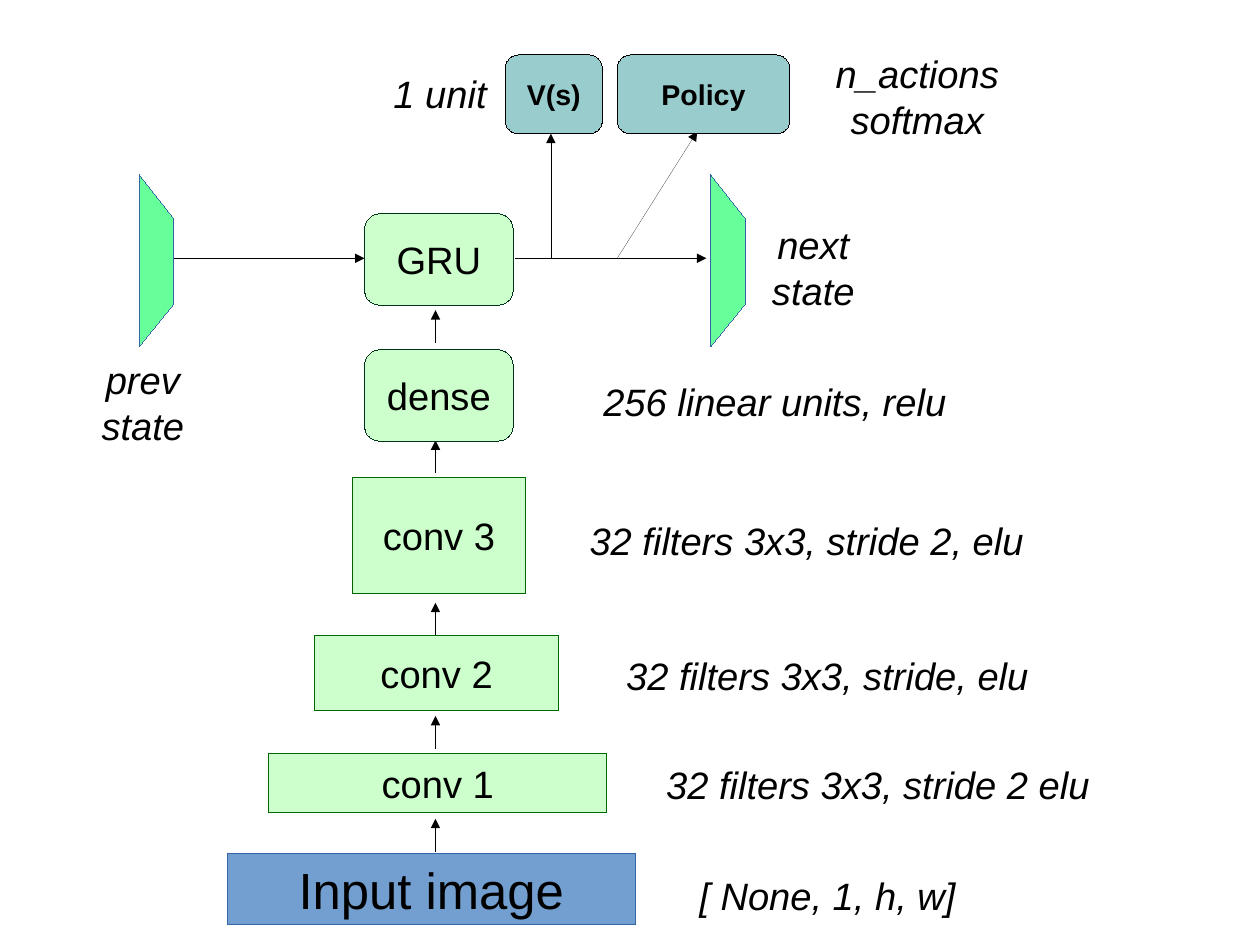
from dataclasses import dataclass
from lxml import etree
from pptx import Presentation, util as u
from pptx.dml.color import RGBColor
from pptx.enum import shapes, text
from pptx.oxml.ns import qn

CELL = u.Inches(0.1)


@dataclass(frozen=True)
class Theme:
    font: str = "Arial"
    ink: str = "000000"
    image: tuple = ("729FCF", "3465A4")
    conv: tuple = ("CCFFCC", "006600")
    unit: tuple = ("CCFFCC", "00331A")
    head: tuple = ("99CCCC", "000000")
    state: tuple = ("66FF99", "3465A4")
    title: int = 32
    body: int = 24
    small: int = 18
    hairline: float = 0.01


THEME = Theme()
RECT = shapes.MSO_SHAPE.RECTANGLE
ROUND = shapes.MSO_SHAPE.ROUNDED_RECTANGLE
LEFT, CENTER = text.PP_ALIGN.LEFT, text.PP_ALIGN.CENTER

LAYERS = [
    ("Input image", RECT, THEME.image, THEME.title, False, (19.9, 74.7, 35.7, 6.2)),
    ("conv 1", RECT, THEME.conv, THEME.body, False, (23.5, 65.9, 29.6, 5.2)),
    ("conv 2", RECT, THEME.conv, THEME.body, False, (27.5, 55.6, 21.4, 6.6)),
    ("conv 3", RECT, THEME.conv, THEME.body, False, (30.8, 41.8, 15.2, 10.1)),
    ("dense", ROUND, THEME.unit, THEME.body, False, (31.9, 30.6, 13, 8)),
    ("GRU", ROUND, THEME.unit, THEME.body, False, (31.9, 18.7, 13, 8)),
    ("V(s)", ROUND, THEME.head, THEME.small, True, (44.2, 4.8, 8.5, 6.9)),
    ("Policy", ROUND, THEME.head, THEME.small, True, (54, 4.8, 15.1, 6.9)),
]
NOTES = [
    ("[ None, 1, h, w]", CENTER, (60.2, 75.8, 24.4, 4.7)),
    ("32 filters 3x3, stride 2 elu", LEFT, (57.3, 66.1, 46.7, 8.4)),
    ("32 filters 3x3, stride, elu", LEFT, (53.8, 56.6, 37.9, 8.4)),
    ("32 filters 3x3, stride 2, elu", LEFT, (50.6, 44.8, 47, 8.4)),
    ("256 linear units, relu", LEFT, (51.8, 32.6, 37.9, 8.4)),
    ("1 unit", CENTER, (30.4, 5.7, 16.2, 4.7)),
    ("n_actions\nsoftmax", CENTER, (61.3, 3.9, 37.9, 8.4)),
    ("prev\nstate", CENTER, (2.4, 30.7, 20.2, 8.4)),
    ("next\nstate", CENTER, (52.2, 18.9, 37.9, 8.4)),
]
STATE_LEFTS = (12.2, 62.2)
STATE_OUTLINE = [(0, 30.3), (0, 15.3), (3, 19.1), (3, 26.6)]

STACK_AXIS, STACK_STEP = 38.1, 2.87
STACK_STARTS = (74.5, 65.5, 55.6, 41.4, 30)
FLOW = 22.6
ARROWS = [((STACK_AXIS, row), (STACK_AXIS, row - STACK_STEP)) for row in STACK_STARTS] + [
    ((15.2, FLOW), (31.9, FLOW)),
    ((45.1, FLOW), (61.8, FLOW)),
    ((48.2, FLOW), (48.2, 11.7)),
    ((54, FLOW), (61, 11.5)),
]


def grid(*cells):
    return [round(cell * CELL) for cell in cells]


def draw_line(line, color):
    line.color.rgb = RGBColor.from_string(color)
    line.width = u.Pt(THEME.hairline)


def paint(shape, colors):
    fill, line = colors
    shape.shadow.inherit = False
    shape.fill.solid()
    shape.fill.fore_color.rgb = RGBColor.from_string(fill)
    draw_line(shape.line, line)


def write(shape, words, size, align=CENTER, bold=False, italic=False):
    para = shape.text_frame.paragraphs[0]
    para.text = words
    para.alignment = align
    font = para.font
    font.name, font.size = THEME.font, u.Pt(size)
    font.bold, font.italic = bold, italic
    font.color.rgb = RGBColor.from_string(THEME.ink)


def add_arrow(page, start, end):
    arrow = page.shapes.add_connector(
        shapes.MSO_CONNECTOR.STRAIGHT, *grid(*start, *end))
    draw_line(arrow.line, THEME.ink)
    properties = arrow._element.spPr
    etree.SubElement(properties.find(qn("a:ln")), qn("a:tailEnd"), type="triangle")
    etree.SubElement(properties, qn("a:effectLst"))


def add_layer(page, words, kind, colors, size, bold, place):
    box = page.shapes.add_shape(kind, *grid(*place))
    paint(box, colors)
    box.text_frame.word_wrap = False
    box.text_frame.vertical_anchor = text.MSO_ANCHOR.MIDDLE
    write(box, words, size, bold=bold)


def add_note(page, words, align, place):
    box = page.shapes.add_textbox(*grid(*place))
    box.text_frame.word_wrap = True
    write(box, words, THEME.body, align, italic=True)


def add_state(page, left):
    corners = [grid(left + column, row) for column, row in STATE_OUTLINE]
    outline = page.shapes.build_freeform(*corners[0])
    outline.add_line_segments(corners[1:], close=True)
    paint(outline.convert_to_shape(), THEME.state)


def main():
    deck = Presentation()
    deck.slide_width = u.Cm(28)
    deck.slide_height = u.Cm(21)
    page = deck.slides.add_slide(deck.slide_layouts[6])
    for start, end in ARROWS:
        add_arrow(page, start, end)
    for layer in LAYERS:
        add_layer(page, *layer)
    for left in STATE_LEFTS:
        add_state(page, left)
    for note in NOTES:
        add_note(page, *note)
    deck.save("out.pptx")


if __name__ == "__main__":
    main()
